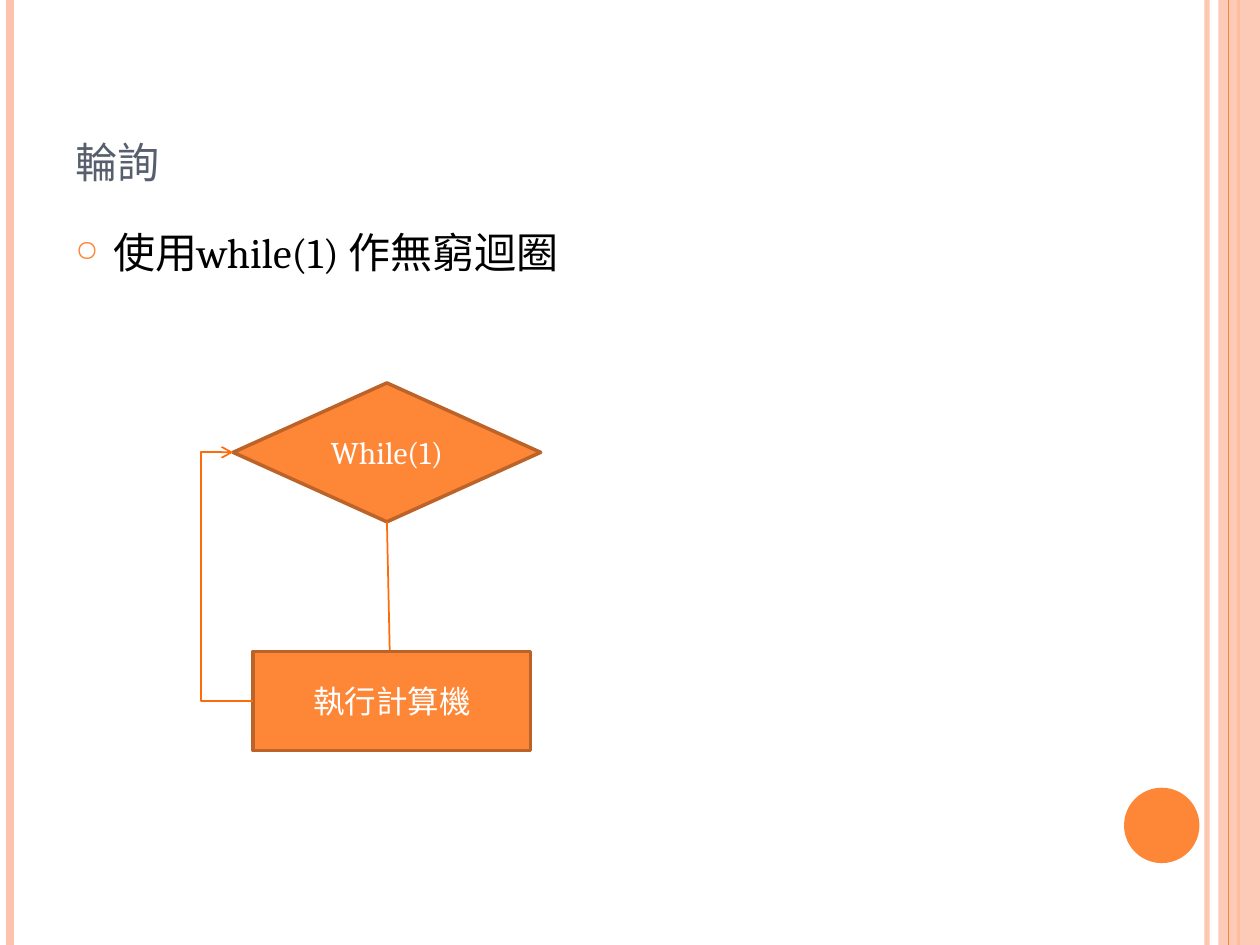
from lxml.etree import SubElement as Sub
from pptx import Presentation as Deck
from pptx.dml.color import RGBColor as Rgb
from pptx.enum.shapes import MSO_CONNECTOR as Link, MSO_SHAPE as Form
from pptx.enum.text import MSO_ANCHOR as Anchor, PP_ALIGN as Align
from pptx.oxml.ns import qn
from pptx.util import Cm, Pt

WIDE, HIGH = 25.4, 19.05
FONT = "Cambria"
HUES = {
    "pale": "FEC3AE", "main": "FE8637", "edge": "BC6329", "wire": "FF6B0A",
    "slate": "575F6D", "black": "000000", "white": "FFFFFF",
}


def hue(name):
    """Return the named colour."""
    return Rgb.from_string(HUES[name])


def apply(item, form):
    """Set each attribute in the dict on the item."""
    for key, val in form.items():
        setattr(item, key, val)


def fade(part, share):
    """Give the solid colour inside part an opacity in percent."""
    tint = next(part.iter(qn("a:srgbClr")))
    Sub(tint, qn("a:alpha"), val=str(share * 1000))


def write(frame, text, size, tone, form, align=Align.LEFT):
    """Put one styled paragraph in the frame and return it."""
    apply(frame, {"word_wrap": True, **form})
    para = frame.paragraphs[0]
    para.alignment = align
    run = para.add_run()
    run.text = text
    apply(run.font, {"name": FONT, "size": Pt(size)})
    run.font.color.rgb = hue(tone)
    return para


def label(slide, box, text, size, tone, anchor):
    """Add a text box and return its paragraph."""
    area = slide.shapes.add_textbox(*map(Cm, box))
    return write(area.text_frame, text, size, tone,
                 {"vertical_anchor": anchor})


def bullet(para, sign, tone, share, indent):
    """Give the paragraph a hanging bullet."""
    props = para._p.get_or_add_pPr()
    props.set("marL", str(Cm(indent)))
    props.set("indent", str(-Cm(indent)))
    Sub(Sub(props, qn("a:buClr")), qn("a:srgbClr"), val=HUES[tone])
    Sub(props, qn("a:buSzPct"), val=str(share * 1000))
    Sub(props, qn("a:buChar"), char=sign)


def block(slide, kind, box, fill, edge=None, text=None):
    """Add a filled shape, with an outline and text if given."""
    shape = slide.shapes.add_shape(kind, *map(Cm, box))
    shape.shadow.inherit = False
    shape.fill.solid()
    shape.fill.fore_color.rgb = hue(fill)
    if edge:
        shape.line.color.rgb = hue(edge)
        shape.line.width = Pt(2)
    else:
        shape.line.fill.background()
    if text:
        write(shape.text_frame, text, 18, "white",
              {"vertical_anchor": Anchor.MIDDLE}, Align.CENTER)
    return shape


def wire(slide, start, end, tone, width, kind=Link.STRAIGHT):
    """Add a line between two points."""
    line = slide.shapes.add_connector(kind, *map(Cm, start + end))
    line.line.color.rgb = hue(tone)
    line.line.width = Pt(width)
    Sub(line._element.spPr, qn("a:effectLst"))
    return line


def bend(line, ratio):
    """Set the elbow's turn and add an open arrowhead."""
    props = line._element.spPr
    geom = props.find(qn("a:prstGeom"))
    marks = geom.find(qn("a:avLst"))
    if marks is None:
        marks = Sub(geom, qn("a:avLst"))
    Sub(marks, qn("a:gd"), name="adj1", fmla=f"val {round(ratio * 100000)}")
    Sub(props.find(qn("a:ln")), qn("a:tailEnd"), type="arrow")


def frame(slide):
    """Draw the side stripes and the disc."""
    def stripe(left, tone, width):
        return wire(slide, (left, 0), (left, HIGH), tone, width)

    fade(stripe(24.33, "pale", 3)._element, 93)
    stripe(0.2, "pale", 4.5)
    stripe(24.97, "main", 1.5)
    band = block(slide, Form.RECTANGLE, (24.56, 0, 0.84, HIGH), "pale")
    fade(band._element, 87)
    stripe(24.77, "main", 0.75)
    block(slide, Form.OVAL, (22.66, 15.88, 1.52, 1.52), "main")


def flow(slide):
    """Draw the endless loop."""
    left, top, wide, tall = test = (4.7, 7.72, 6.2, 2.8)
    x, y, w, h = task = (5.1, 13.13, 5.6, 2)
    turn = 4.06
    block(slide, Form.FLOWCHART_DECISION, test, "main", "edge", "While(1)")
    wire(slide, (left + wide / 2, top + tall), (x + w / 2, y + h), "wire", 1)
    block(slide, Form.RECTANGLE, task, "main", "edge", "執行計算機")
    back = wire(slide, (x, y + h / 2), (left, top + tall / 2),
                "wire", 1, Link.ELBOW)
    bend(back, (x - turn) / (x - left))


def main():
    """Build and save the slide."""
    deck = Deck()
    apply(deck, {"slide_width": Cm(WIDE), "slide_height": Cm(HIGH)})
    slide = deck.slides.add_slide(deck.slide_layouts[6])
    frame(slide)
    title = label(slide, (1.27, 0.76, 20.75, 3.18), "輪詢", 30, "slate",
                  Anchor.BOTTOM)
    title.runs[0].font._element.set("cap", "small")
    body = label(slide, (1.27, 4.45, 20.75, 13.54),
                 "使用while(1) 作無窮迴圈", 24, "black", Anchor.TOP)
    body.space_before = Pt(6)
    bullet(body, "○", "main", 70, 0.76)
    flow(slide)
    deck.save("out.pptx")


main()
